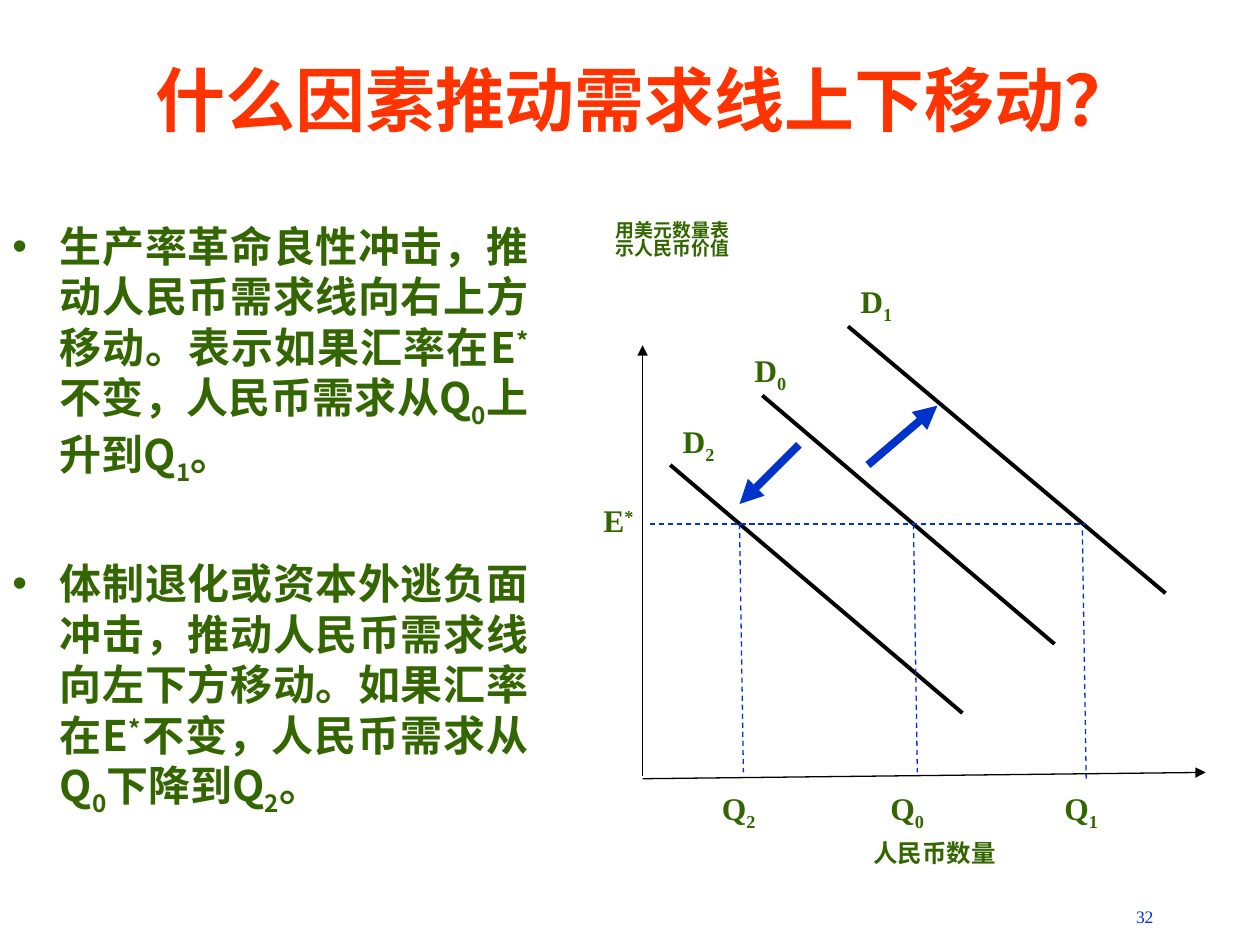
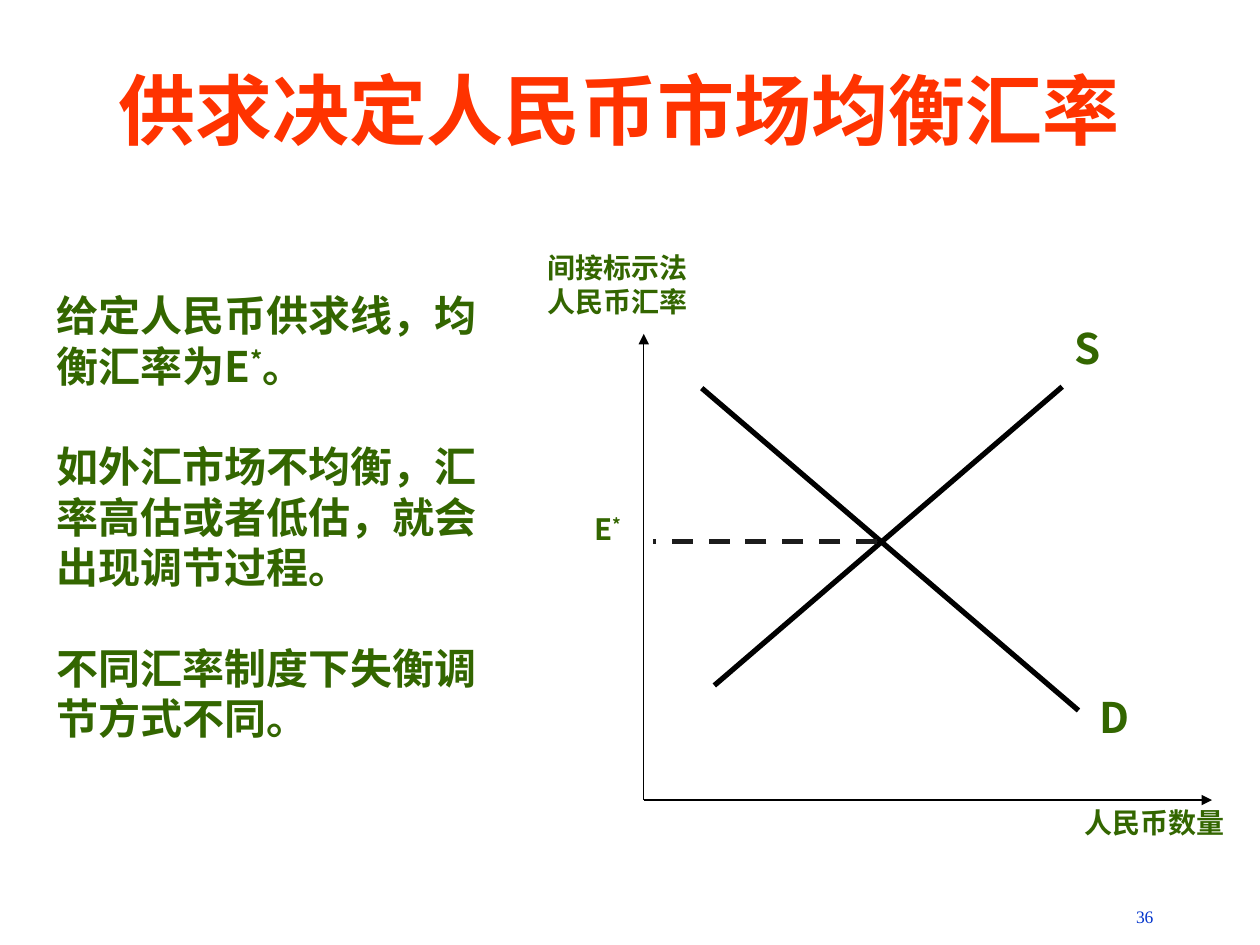
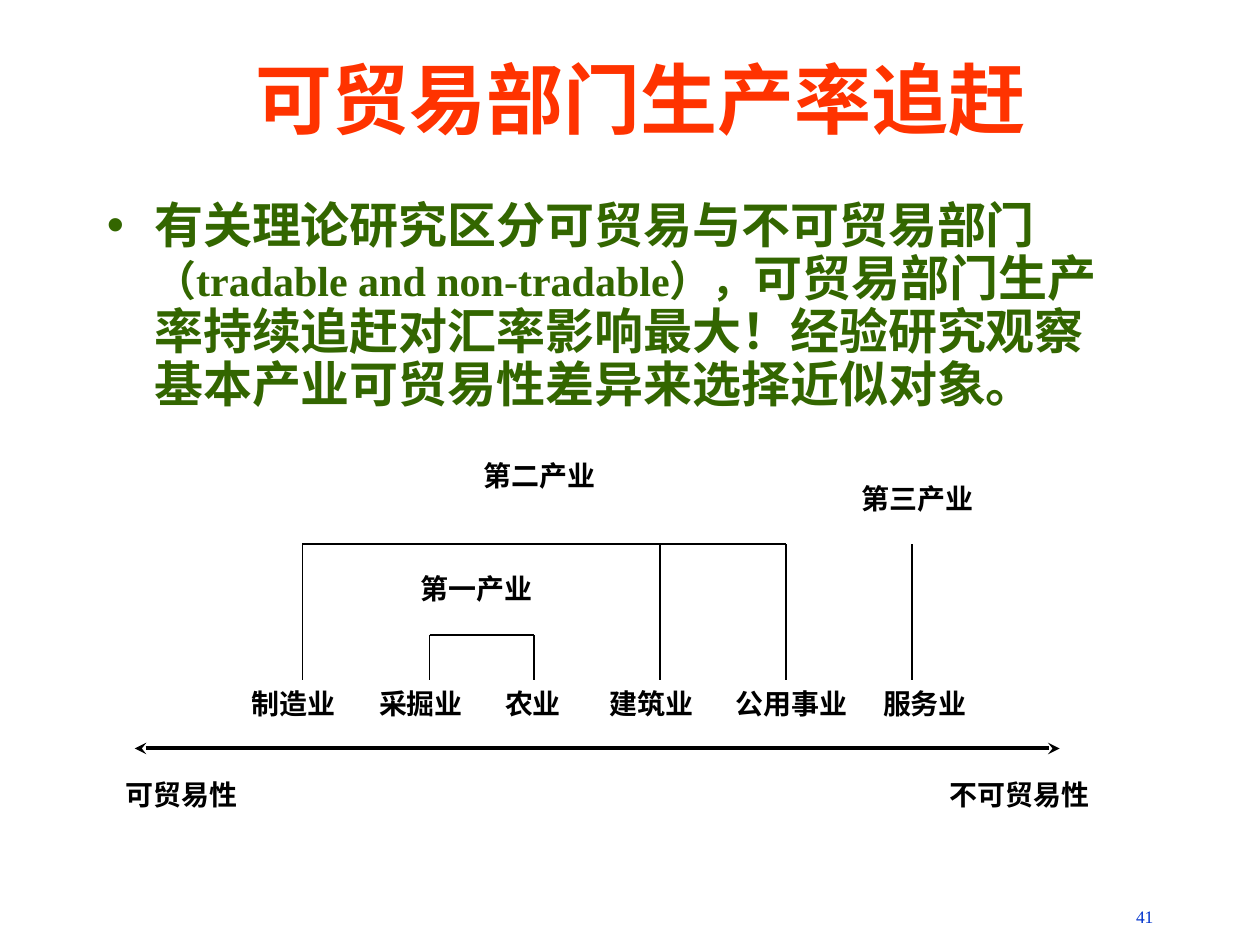
import pptx
import pptx.util
import pptx.dml.color
import pptx.enum.dml
import pptx.enum.shapes
import pptx.enum.text
import pptx.oxml.ns
from lxml import etree

Pt = pptx.util.Pt
RGBColor = pptx.dml.color.RGBColor
qn = pptx.oxml.ns.qn
ALIGN = pptx.enum.text.PP_ALIGN

# Shared look
RED = RGBColor(0xFF, 0x33, 0x00)
GREEN = RGBColor(0x33, 0x66, 0x00)
BLUE = RGBColor(0x00, 0x33, 0xCC)
BLACK = RGBColor(0x00, 0x00, 0x00)
CHARCOAL = RGBColor(0x1C, 0x1C, 0x1C)
CJK = "Noto Sans CJK SC"
SERIF = "Times New Roman"
SANS = "Arial"
BASELINES = {"^": "30000", "_": "-25000"}
INDENT = 27


# Text
def add_runs(p, text, size, font=CJK, color=GREEN, bold=True):
    """Add runs split at "|"; a part led by ^ is raised, by _ lowered."""
    for part in text.split("|"):
        baseline = BASELINES.get(part[0])
        r = p.add_run()
        r.text = part[1:] if baseline else part
        r.font.size = Pt(size)
        r.font.bold = bold
        r.font.name = font
        r.font.color.rgb = color
        rPr = r.font._element
        etree.SubElement(rPr, qn("a:ea")).set("typeface", CJK)
        if baseline:
            rPr.set("baseline", baseline)


def add_box(slide, left, top, width, height):
    tf = slide.shapes.add_textbox(Pt(left), Pt(top), Pt(width), Pt(height)).text_frame
    tf.word_wrap = True
    return tf


def add_label(slide, text, left, top, width, height, size, font=CJK,
              color=GREEN, bold=True, align=ALIGN.LEFT, spacing=None):
    p = add_box(slide, left, top, width, height).paragraphs[0]
    p.alignment = align
    if spacing:
        p.line_spacing = spacing
    add_runs(p, text, size, font, color, bold)


def add_paragraphs(tf, texts, size, gap, first_gap=0, align=ALIGN.LEFT):
    for i, text in enumerate(texts):
        p = tf.add_paragraph() if i else tf.paragraphs[0]
        p.alignment = align
        p.space_before = Pt(gap if i else first_gap)
        add_runs(p, text, size)


def set_bullet(p):
    pPr = p._p.get_or_add_pPr()
    pPr.set("marL", str(Pt(INDENT)))
    pPr.set("indent", str(-Pt(INDENT)))
    clr = etree.SubElement(pPr, qn("a:buClr"))
    etree.SubElement(clr, qn("a:srgbClr")).set("val", str(GREEN))
    etree.SubElement(pPr, qn("a:buFont")).set("typeface", SANS)
    etree.SubElement(pPr, qn("a:buChar")).set("char", "•")


# Lines
def add_line(slide, start, end, width=0.75, color=BLACK, dashed=False,
             head=None, tail=None):
    sp = slide.shapes.add_connector(
        pptx.enum.shapes.MSO_CONNECTOR.STRAIGHT,
        Pt(start[0]), Pt(start[1]), Pt(end[0]), Pt(end[1]))
    sp.line.color.rgb = color
    sp.line.width = Pt(width)
    if dashed:
        sp.line.dash_style = pptx.enum.dml.MSO_LINE.DASH
    ln = sp.line._get_or_add_ln()
    for tag, kind in (("a:headEnd", head), ("a:tailEnd", tail)):
        if kind:
            etree.SubElement(ln, qn(tag)).set("type", kind)
    etree.SubElement(sp._element.spPr, qn("a:effectLst"))


# Slide with title and page number
def add_slide(prs, title, number, left, top, width, height, size, font=CJK):
    slide = prs.slides.add_slide(prs.slide_layouts[5])
    sp = slide.shapes.title
    sp.left, sp.top, sp.width, sp.height = Pt(left), Pt(top), Pt(width), Pt(height)
    tf = sp.text_frame
    tf.auto_size = pptx.enum.text.MSO_AUTO_SIZE.NONE
    tf.vertical_anchor = pptx.enum.text.MSO_ANCHOR.MIDDLE
    p = tf.paragraphs[0]
    p.alignment = ALIGN.CENTER
    add_runs(p, title, size, font, RED)
    add_label(slide, number, 516.2, 514, 150, 23, 10, SERIF, BLUE, False, ALIGN.RIGHT)
    return slide


def demand_shift_slide(prs):
    slide = add_slide(prs, "什么因素推动需求线上下移动？", "32", 54, 24, 629, 65, 40)
    tf = add_box(slide, 0, 122.4, 309, 357)
    add_paragraphs(tf, [
        "生产率革命良性冲击，推动人民币需求线向右上方移动。表示如果汇率在E|^*|"
        "不变，人民币需求从Q|_0|上升到Q|_1|。",
        "体制退化或资本外逃负面冲击，推动人民币需求线向左下方移动。如果汇率在E|^*|"
        "不变，人民币需求从Q|_0|下降到Q|_2|。",
    ], 24, gap=41, first_gap=6, align=ALIGN.JUSTIFY)
    for p in tf.paragraphs:
        set_bullet(p)

    # Axes
    add_line(slide, (367.2, 443.5), (367.2, 197.3), tail="triangle")
    add_line(slide, (367.2, 445), (689, 441.4), tail="triangle")
    add_label(slide, "用美元数量表示人民币价值", 344.9, 123.8, 79.5, 49, 10.8, spacing=0.8)
    add_label(slide, "人民币数量", 491.8, 475.2, 94, 27, 14)

    # Demand curves: name, start, end, label position
    for name, start, end, label in (
            ("D|_0", (435.6, 226), (602.6, 368), (424, 197.3)),
            ("D|_1", (484.6, 186.5), (666, 339), (484.6, 157.7)),
            ("D|_2", (383, 265.7), (550, 407.5), (383, 237.6))):
        add_line(slide, start, end, 2.25)
        add_label(slide, name, *label, 45, 35, 18, SERIF)

    # Exchange rate and quantities: name, x, top, label left
    add_line(slide, (371.5, 299.5), (620.6, 299.5), color=BLUE, dashed=True)
    add_label(slide, "E|^*", 337.7, 283, 45, 34, 18, SERIF)
    for name, x, top, left in (("Q|_2", 422.6, 299.5, 405.4),
                               ("Q|_0", 522, 299.5, 501.8),
                               ("Q|_1", 618.5, 303.1, 601.2)):
        add_line(slide, (x, top), (x + 2.2, top + 141.9), color=BLUE, dashed=True)
        add_label(slide, name, left, 447.1, 45, 34, 18, SERIF)

    # Shift arrows
    for start, end in (((496, 265.7), (535.7, 231.8)), ((456.5, 254.2), (422.6, 288))):
        add_line(slide, start, end, 4.5, BLUE, tail="triangle")


def equilibrium_slide(prs):
    slide = add_slide(prs, "供求决定人民币市场均衡汇率", "36", 48.2, 26, 612, 72, 44)
    add_paragraphs(add_box(slide, 25.2, 162, 260.6, 266.4), [
        "给定人民币供求线，均衡汇率为E|^*|。",
        "如外汇市场不均衡，汇率高估或者低估，就会出现调节过程。",
        "不同汇率制度下失衡调节方式不同。",
    ], 24, gap=28.8)

    # Axes
    origin = (367.9, 457.2)
    add_line(slide, origin, (367.9, 190.8), tail="triangle")
    add_line(slide, origin, (692.6, 457.2), tail="triangle")
    add_paragraphs(add_box(slide, 306, 139.7, 134, 52.6),
                   ["间接标示法", "人民币汇率"], 16, gap=0)
    add_label(slide, "人民币数量", 612.7, 456.5, 107.3, 29.5, 16)

    # Supply, demand and equilibrium rate
    add_line(slide, (408.2, 391.7), (607, 221), 3)
    add_line(slide, (401, 221.8), (616.3, 406), 3)
    add_label(slide, "S", 607, 180.7, 32, 42, 24)
    add_label(slide, "D", 621.4, 391.7, 32, 39, 24)
    add_line(slide, (501.1, 309.6), (373, 309.6), 3, CHARCOAL, dashed=True)
    add_label(slide, "E|^*", 332.6, 292.3, 39, 29.5, 16.8, spacing=0.8)


def tradability_slide(prs):
    slide = add_slide(prs, "可贸易部门生产率追赶", "41", 54, 26, 624, 60, 44, SERIF)

    # Tradability scale
    add_line(slide, (77, 427.7), (605.5, 427.7), 2.25, head="stealth", tail="stealth")

    # Industries: name, x of riser, top of riser, label left
    base, high, low = 388.8, 311, 363
    for name, x, top, left in (("制造业", 172.8, high, 136.8),
                               ("采掘业", 245.5, low, 209.5),
                               ("农业", 305.3, low, 281.5),
                               ("建筑业", 377.3, high, 341.3),
                               ("公用事业", 449.3, high, 413.3),
                               ("服务业", 521.3, high, 497.5)):
        add_line(slide, (x, top), (x, base), 1)
        add_label(slide, name, left, base, 84, 39, 16, SANS, BLACK)
    add_line(slide, (172.8, high), (449.3, high), 1)
    add_line(slide, (245.5, low), (305.3, low), 1)

    # Sector names and ends of the scale
    for name, left, top in (("第二产业", 269.3, 258.5), ("第三产业", 485.3, 271.4),
                            ("第一产业", 233.3, 323.3), ("可贸易性", 64.8, 440.6),
                            ("不可贸易性", 535.7, 440.6)):
        add_label(slide, name, left, top, 97, 39, 16, SANS, BLACK)

    # Explanation
    p = add_box(slide, 54, 111.6, 589.7, 136).paragraphs[0]
    p.line_spacing = 0.9
    p.space_before = Pt(7)
    set_bullet(p)
    add_runs(p, "有关理论研究区分可贸易与不可贸易部门", 28)
    add_runs(p, "（tradable and non-tradable），", 24, SERIF)
    add_runs(p, "可贸易部门生产率持续追赶对汇率影响最大！"
                "经验研究观察基本产业可贸易性差异来选择近似对象。", 28)


def main():
    prs = pptx.Presentation()
    prs.slide_width, prs.slide_height = Pt(720), Pt(540)
    demand_shift_slide(prs)
    equilibrium_slide(prs)
    tradability_slide(prs)
    prs.save("out.pptx")


if __name__ == "__main__":
    main()
